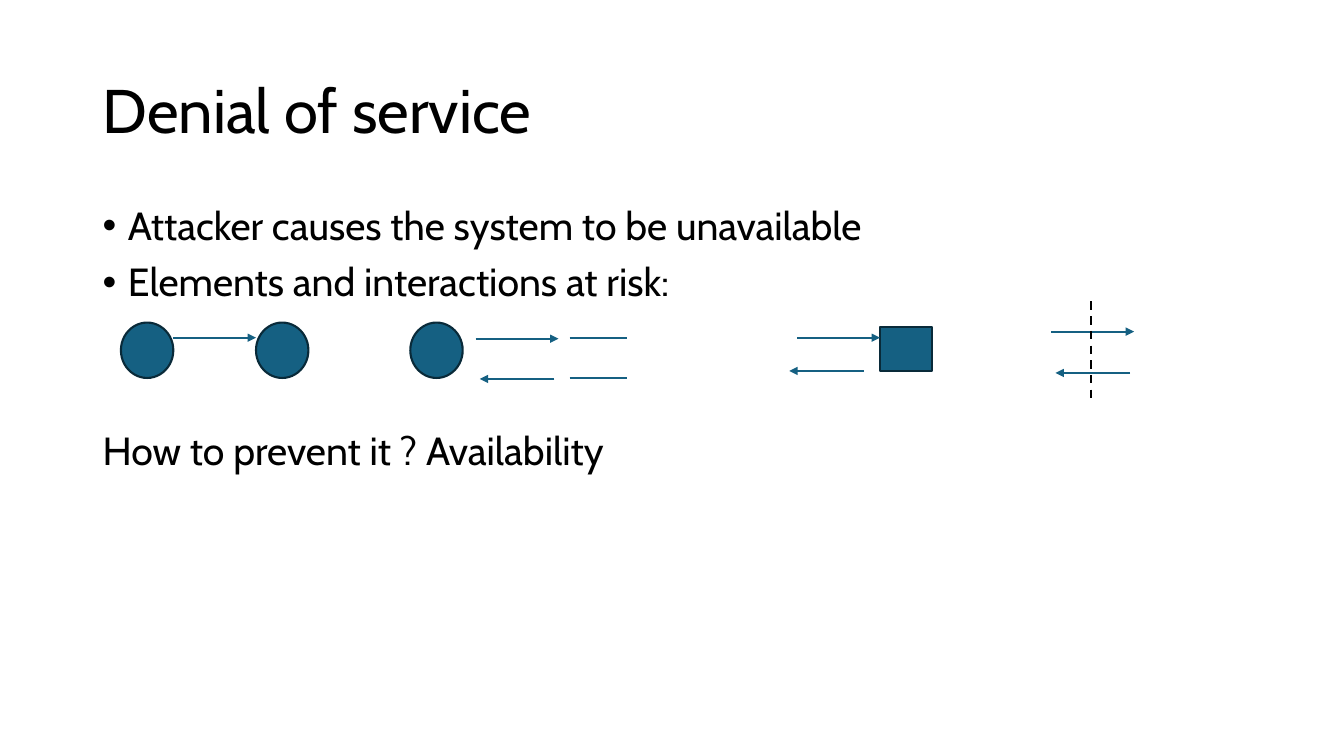
from pptx import Presentation
from pptx.dml.color import RGBColor
from pptx.enum.dml import MSO_LINE_DASH_STYLE as Dash
from pptx.enum.shapes import MSO_CONNECTOR as Connector, MSO_SHAPE as Shape
from pptx.enum.text import MSO_ANCHOR as Anchor
from pptx.oxml.ns import qn
from pptx.util import Inches, Pt
from lxml.etree import SubElement

COLORS = {"text": "000000", "element": "156082", "outline": "092A39"}
FONT = "Cabin"

deck = Presentation()
deck.slide_width, deck.slide_height = Inches(13.33), Inches(7.5)
page = deck.slides.add_slide(deck.slide_layouts[6])
COLUMN, ROW = deck.slide_width / 100, deck.slide_height / 100
MARGIN, TEXT_WIDTH = 6.9, 86.25


def add_text(lines, top, height, size=28, anchor=Anchor.TOP, bullet=None):
    box = page.shapes.add_textbox(int(MARGIN * COLUMN), int(top * ROW),
                                  int(TEXT_WIDTH * COLUMN), int(height * ROW))
    frame = box.text_frame
    frame.word_wrap = True
    frame.vertical_anchor = anchor
    for index, line in enumerate(lines):
        para = frame.add_paragraph() if index else frame.paragraphs[0]
        para.line_spacing = 0.9
        para.space_before = Pt(10 if index else 0)
        if bullet:
            props = para._p.get_or_add_pPr()
            props.set("marL", str(Inches(0.25)))
            props.set("indent", str(Inches(-0.25)))
            SubElement(props, qn("a:buFont")).set("typeface", "Arial")
            SubElement(props, qn("a:buChar")).set("char", bullet)
        span = para.add_run()
        span.text = line
        span.font.name = FONT
        span.font.size = Pt(size)
        span.font.color.rgb = RGBColor.from_string(COLORS["text"])


def add_line(left, top, across=0, down=0, color="element", arrow=False, dash=None):
    line = page.shapes.add_connector(
        Connector.STRAIGHT, int(left * COLUMN), int(top * ROW),
        int((left + across) * COLUMN), int((top + down) * ROW))
    line.line.color.rgb = RGBColor.from_string(COLORS[color])
    line.line.width = Pt(1.5)
    if dash:
        line.line.dash_style = dash
    if arrow:
        SubElement(line.line._get_or_add_ln(), qn("a:tailEnd")).set("type", "triangle")
    SubElement(line._element.spPr, qn("a:effectLst"))


add_text(["Denial of service"], 5.33, 19.33, size=44, anchor=Anchor.MIDDLE)
add_text(["Attacker causes the system to be unavailable",
          "Elements and interactions at risk:"], 26.67, 16, bullet="•")
add_text(["How to prevent it ? Availability"], 56.4, 8)

ELEMENT_WIDTH = 3.9
CIRCLE = (Shape.OVAL, 42.67, 7.33)
SQUARE = (Shape.RECTANGLE, 43.2, 5.87)
for left, (kind, top, height) in [(9, CIRCLE), (19.05, CIRCLE),
                                  (30.53, CIRCLE), (65.48, SQUARE)]:
    element = page.shapes.add_shape(kind, int(left * COLUMN), int(top * ROW),
                                    int(ELEMENT_WIDTH * COLUMN), int(height * ROW))
    element.shadow.inherit = False
    element.fill.solid()
    element.fill.fore_color.rgb = RGBColor.from_string(COLORS["element"])
    element.line.color.rgb = RGBColor.from_string(COLORS["outline"])
    element.line.width = Pt(1.5)

for store_top in (44.67, 50):
    add_line(42.38, store_top, across=4.27)

REQUEST, REPLY = 6.15, -5.55
for left, top, across in [(12.9, 44.67, REQUEST), (35.4, 44.8, REQUEST),
                          (59.33, 44.67, REQUEST), (64.28, 49.07, REPLY),
                          (41.25, 50.13, REPLY), (78.23, 43.87, REQUEST),
                          (84.08, 49.33, REPLY)]:
    add_line(left, top, across=across, arrow=True)

add_line(81.15, 39.87, down=13.6, color="text", dash=Dash.DASH)

deck.save("out.pptx")
